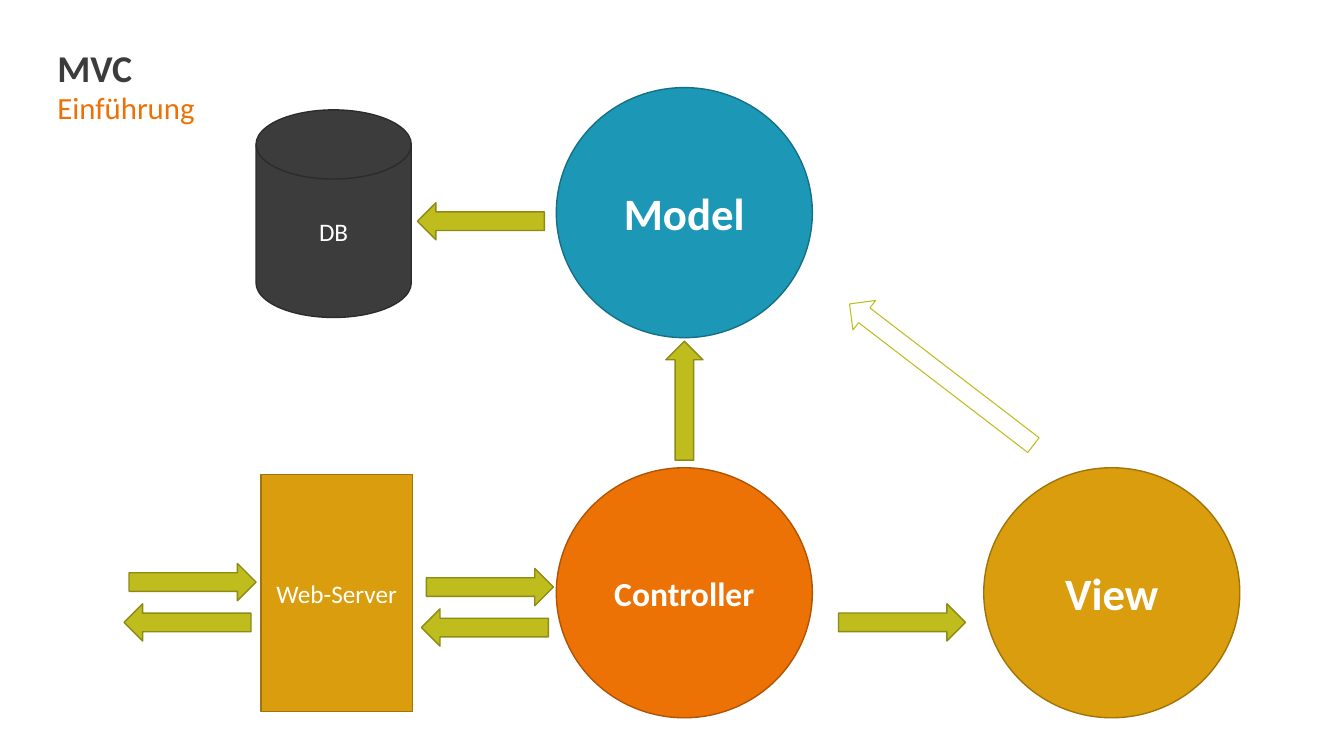
from lxml.etree import SubElement
from pptx import Presentation
from pptx.dml.color import RGBColor
from pptx.enum.shapes import MSO_SHAPE
from pptx.enum.text import MSO_ANCHOR, MSO_AUTO_SIZE, PP_ALIGN
from pptx.oxml.ns import qn
from pptx.util import Pt

OLIVE, OLIVE_EDGE = "BFBC1D", "8D8B15"
GOLD, GOLD_EDGE = "D99D0D", "A1740A"


def write(shape, text, size, color, bold=False):
    """Put one line of vertically centred text into a shape and return its paragraph."""
    frame = shape.text_frame
    frame.text = text
    frame.word_wrap = True
    frame.auto_size = MSO_AUTO_SIZE.NONE
    frame.vertical_anchor = MSO_ANCHOR.MIDDLE
    paragraph = frame.paragraphs[0]
    font = paragraph.runs[0].font
    font.name, font.size, font.bold = "Calibri", Pt(size), bold
    font.color.rgb = RGBColor.from_string(color)
    return paragraph


def add_figure(kind, left, top, width, height, fill, edge, edge_width=1):
    """Add a flat shape; a fill of None leaves it hollow."""
    shape = page.shapes.add_shape(kind, Pt(left), Pt(top), Pt(width), Pt(height))
    shape.shadow.inherit = False
    if fill:
        shape.fill.solid()
        shape.fill.fore_color.rgb = RGBColor.from_string(fill)
    else:
        shape.fill.background()
    shape.line.color.rgb = RGBColor.from_string(edge)
    shape.line.width = Pt(edge_width)
    return shape


deck = Presentation()
deck.slide_width, deck.slide_height = Pt(960), Pt(540)
page = deck.slides.add_slide(deck.slide_layouts[1])

# Heading
title, subtitle = page.placeholders
headings = [
    (title, "MVC", 35.3, 30.2, 27, "3C3C3C", True),
    (subtitle, "Einführung", 64.1, 28.1, 22, "ED7205", False),
]
for box, text, top, height, size, color, bold in headings:
    box.left, box.top, box.width, box.height = Pt(33.8), Pt(top), Pt(702), Pt(height)
    paragraph = write(box, text, size, color, bold)
    paragraph.alignment = PP_ALIGN.LEFT
    paragraph.line_spacing = 0.9
    paragraph.space_before = Pt(0)
    properties = paragraph._p.get_or_add_pPr()
    properties.set("marL", "0")
    properties.set("indent", "0")
    SubElement(properties, qn("a:buNone"))

# Components
components = [
    (MSO_SHAPE.OVAL, "Model", 397.4, 62.6, 182.9, 178.6, "1C98B6", "157087", 32, True),
    (MSO_SHAPE.OVAL, "View", 702.7, 334.1, 182.9, 178.6, GOLD, GOLD_EDGE, 32, True),
    (MSO_SHAPE.OVAL, "Controller", 397.4, 334.1, 182.9, 178.6, "ED7205", "AF5404", 24, True),
    (MSO_SHAPE.FLOWCHART_MAGNETIC_DISK, "DB", 182.9, 78.5, 110.9, 148.3, "3C3C3C", "2C2C2C", 18, False),
    (MSO_SHAPE.RECTANGLE, "Web-Server", 186.5, 339.1, 108, 169.2, GOLD, GOLD_EDGE, 18, False),
]
for kind, text, left, top, width, height, fill, edge, size, bold in components:
    component = add_figure(kind, left, top, width, height, fill, edge)
    write(component, text, size, "FFFFFF", bold).alignment = PP_ALIGN.CENTER

# Block arrows: left, top, length, rotation
arrows = [
    (599, 431.3, 90.7, 0),       # Controller to View
    (446.4, 272.9, 85, 270),     # Controller to Model
    (301, 434.9, 90.7, 180),     # Controller to Web-Server
    (304.6, 406.1, 90.7, 0),     # Web-Server to Controller
    (88.6, 431.3, 90.7, 180),    # Web-Server to client
    (92.2, 402.5, 90.7, 0),      # client to Web-Server
    (298.1, 144.7, 90.7, 180),   # Model to DB
]
for left, top, length, rotation in arrows:
    arrow = add_figure(MSO_SHAPE.RIGHT_ARROW, left, top, length, 26.6, OLIVE, OLIVE_EDGE)
    arrow.rotation = rotation

view_to_model = add_figure(MSO_SHAPE.RIGHT_ARROW, 589.7, 254.2, 165.6, 26.6, None, OLIVE, 0.75)
view_to_model.rotation = 217.5

deck.save("out.pptx")
